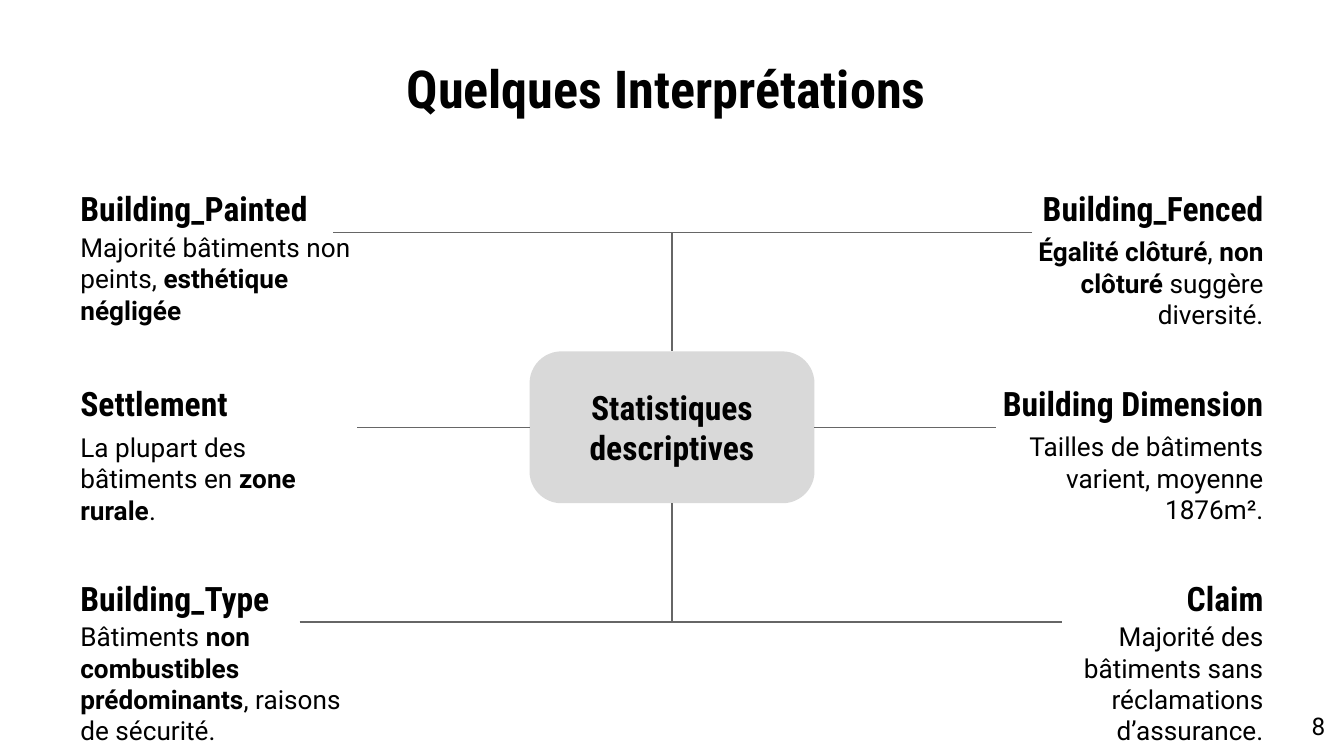
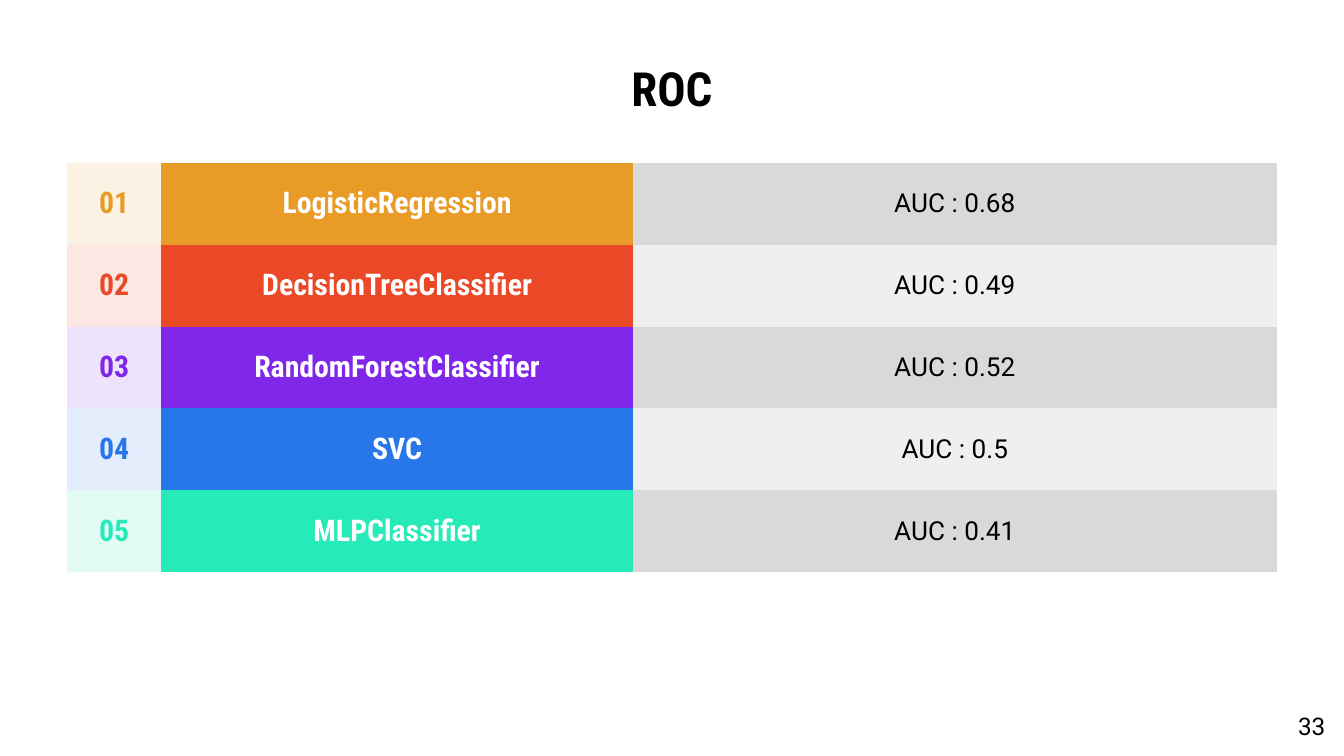
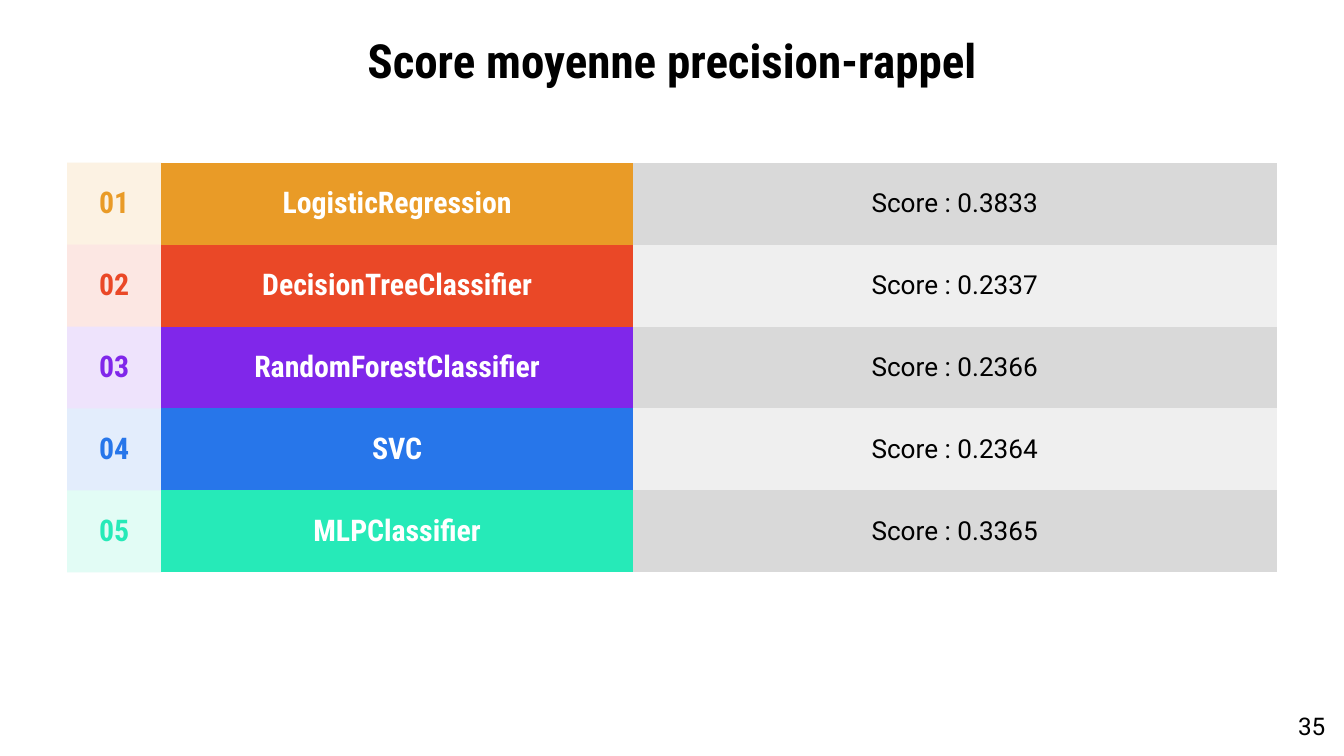
from lxml import etree
from pptx import Presentation
from pptx import util as u
from pptx.dml.color import RGBColor
from pptx.enum import shapes, text
from pptx.oxml.ns import qn

WIDE, HIGH = 10, 5.625
EDGE = WIDE * 0.05
INSET = 0.1
HEAD, BODY = "Roboto Condensed", "Roboto"
INK = {
    "black": "000000", "white": "FFFFFF", "line": "666666",
    "dark": "D9D9D9", "light": "EFEFEF",
    "amber": "E99B27", "red": "EA4827", "violet": "8027EA",
    "blue": "2776EA", "mint": "26EAB8",
}
LEFT, MID, RIGHT = text.PP_ALIGN.LEFT, text.PP_ALIGN.CENTER, text.PP_ALIGN.RIGHT
CENTRE, TOP = text.MSO_ANCHOR.MIDDLE, text.MSO_ANCHOR.TOP


def write(frame, words, size=14, font=BODY, ink="black", bold=False,
          align=LEFT, anchor=CENTRE):
    """Fill a text frame; parts between asterisks are bold."""
    frame.word_wrap = True
    frame.auto_size = text.MSO_AUTO_SIZE.NONE
    frame.vertical_anchor = anchor
    frame.margin_left = frame.margin_right = u.Inches(INSET)
    frame.margin_top = frame.margin_bottom = u.Inches(INSET)
    para = frame.paragraphs[0]
    para.alignment = align
    for i, part in enumerate(words.split("*")):
        if part:
            run = para.add_run()
            run.text = part
            run.font.size = u.Pt(size)
            run.font.name = font
            run.font.bold = bold or i % 2 == 1
            run.font.color.rgb = RGBColor.from_string(INK[ink])


def start(name, size, top, page):
    """Add a slide with its title and page number."""
    slide = deck.slides.add_slide(deck.slide_layouts[5])
    title = slide.shapes.title
    title.left, title.top = u.Inches(EDGE), u.Inches(top)
    title.width, title.height = u.Inches(WIDE - 2 * EDGE), u.Inches(0.41)
    write(title.text_frame, name, size=size, font=HEAD, bold=True, align=MID)
    foot = slide.shapes.add_textbox(*map(u.Inches, (9.36, HIGH - 0.43, 0.6, 0.43)))
    write(foot.text_frame, page, size=13, align=RIGHT, anchor=TOP)
    return slide


deck = Presentation()
deck.slide_width, deck.slide_height = u.Inches(WIDE), u.Inches(HIGH)

# Mind map: three rows of notes on each side of a hub
slide = start("Quelques Interprétations ", 28, 0.45, "8")
FIRST, STEP = 1.37, 1.45
HEAD_H, GAP, NOTE_W = 0.36, 0.37, 2.17
HUB_W, HUB_H = 2.12, 1.13
mid_x, mid_y = WIDE / 2, FIRST + STEP + HEAD_H

hub = slide.shapes.add_shape(
    shapes.MSO_SHAPE.ROUNDED_RECTANGLE,
    *map(u.Inches, (mid_x - HUB_W / 2, mid_y - HUB_H / 2, HUB_W, HUB_H)))
hub.adjustments[0] = 0.21
hub.shadow.inherit = False
hub.fill.solid()
hub.fill.fore_color.rgb = RGBColor.from_string(INK["dark"])
hub.line.fill.background()
label = slide.shapes.add_textbox(
    *map(u.Inches, (mid_x - 0.97, mid_y - 0.33, 1.94, 0.66)))
write(label.text_frame, "Statistiques descriptives", size=18, font=HEAD,
      bold=True, align=MID)

# side, row, heading, note, note width, note height, outer end of the line
notes = [
    (LEFT, 0, "Building_Painted",
     "Majorité bâtiments non peints, *esthétique négligée*", 2.36, 0.66, 2.48),
    (LEFT, 1, "Settlement",
     "La plupart des bâtiments en *zone rurale*.", NOTE_W, 0.74, 2.66),
    (LEFT, 2, "Building_Type",
     "Bâtiments *non combustibles prédominants*, raisons de sécurité.",
     NOTE_W, 0.89, 2.23),
    (RIGHT, 0, "Building_Fenced",
     "*Égalité clôturé*, *non clôturé *suggère diversité.", NOTE_W, 0.73, 7.68),
    (RIGHT, 1, "Building Dimension",
     "Tailles de bâtiments varient, moyenne 1876m².", NOTE_W, 0.73, 7.41),
    (RIGHT, 2, "Claim",
     "Majorité des bâtiments sans réclamations d’assurance.",
     NOTE_W, 0.89, 7.9),
]
for side, row, head, note, wide, high, end in notes:
    top = FIRST + row * STEP
    rule = top + HEAD_H
    if row == 1:
        line = slide.shapes.add_connector(
            shapes.MSO_CONNECTOR.STRAIGHT,
            *map(u.Inches, (mid_x, rule, end, rule)))
        line.begin_connect(hub, 1 if side == LEFT else 3)
    else:
        hub_y = mid_y + (row - 1) * HUB_H / 2
        line = slide.shapes.add_connector(
            shapes.MSO_CONNECTOR.ELBOW,
            *map(u.Inches, (end, rule, mid_x, hub_y)))
        line._element.spPr.find(qn("a:prstGeom")).set("prst", "bentConnector2")
    line.line.color.rgb = RGBColor.from_string(INK["line"])
    line.line.width = u.Pt(0.75)
    etree.SubElement(line._element.spPr, qn("a:effectLst"))

    x = EDGE if side == LEFT else WIDE - EDGE - NOTE_W
    box = slide.shapes.add_textbox(*map(u.Inches, (x, top, NOTE_W, HEAD_H)))
    write(box.text_frame, head, size=18, font=HEAD, bold=True, align=side)
    box = slide.shapes.add_textbox(*map(u.Inches, (x, top + GAP, wide, high)))
    write(box.text_frame, note, align=side)

# Score tables: one model a row
models = [
    ("LogisticRegression", "amber"), ("DecisionTreeClassifier", "red"),
    ("RandomForestClassifier", "violet"), ("SVC", "blue"),
    ("MLPClassifier", "mint"),
]
COLS, ROW_H = (0.7, 3.51, 4.79), 0.61
NO_GRID = "{2D5ABB26-0587-4C30-8999-92F81FD0307C}"
boards = [
    ("ROC", 0.45, "33", "AUC", ("0.68", "0.49", "0.52", "0.5", "0.41")),
    ("Score moyenne precision-rappel", 0.24, "35", "Score",
     ("0.3833", "0.2337", "0.2366", "0.2364", "0.3365")),
]
for name, top, page, unit, scores in boards:
    slide = start(name, 25.2, top, page)
    table = slide.shapes.add_table(
        len(models), len(COLS),
        *map(u.Inches, (EDGE, 1.21, sum(COLS), ROW_H * len(models)))).table
    table.first_row = table.horz_banding = False
    table._tbl.tblPr.find(qn("a:tableStyleId")).text = NO_GRID
    for col, wide in zip(table.columns, COLS):
        col.width = u.Inches(wide)
    for r, ((model, hue), score) in enumerate(zip(models, scores)):
        table.rows[r].height = u.Inches(ROW_H)
        strong = dict(size=16, font=HEAD, bold=True)
        cells = [
            (f"{r + 1:02}", hue, dict(strong, ink=hue)),
            (model, hue, dict(strong, ink="white")),
            (f"{unit} : {score}", "light" if r % 2 else "dark", {}),
        ]
        for c, (words, fill, style) in enumerate(cells):
            cell = table.cell(r, c)
            cell.vertical_anchor = CENTRE
            cell.margin_left = cell.margin_right = u.Inches(INSET)
            cell.margin_top = cell.margin_bottom = u.Inches(INSET)
            cell.fill.solid()
            cell.fill.fore_color.rgb = RGBColor.from_string(INK[fill])
            if c == 0:
                tint = cell._tc.tcPr.find(".//" + qn("a:srgbClr"))
                etree.SubElement(tint, qn("a:alpha"), val="13000")
            write(cell.text_frame, words, align=MID, **style)

deck.save("out.pptx")
